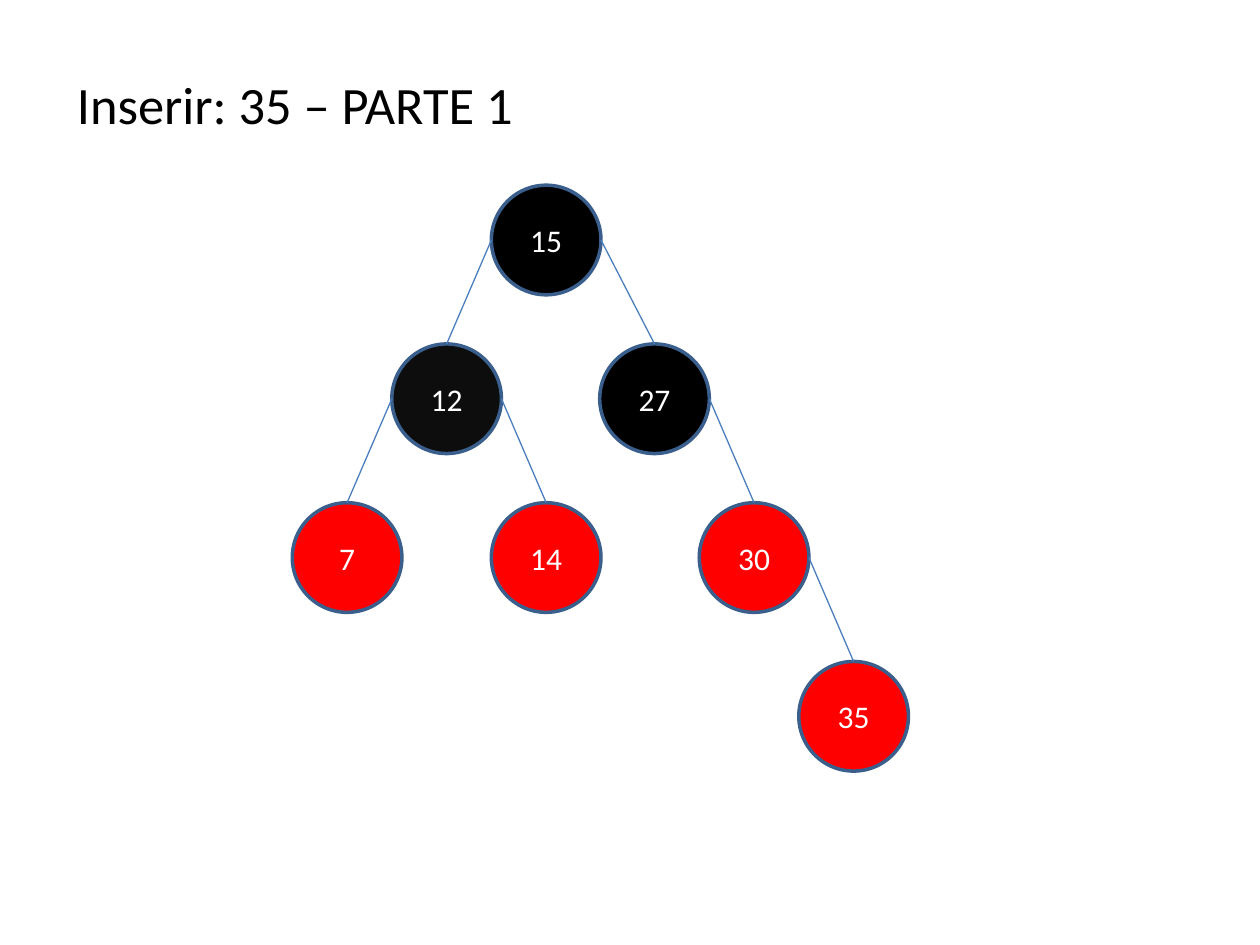
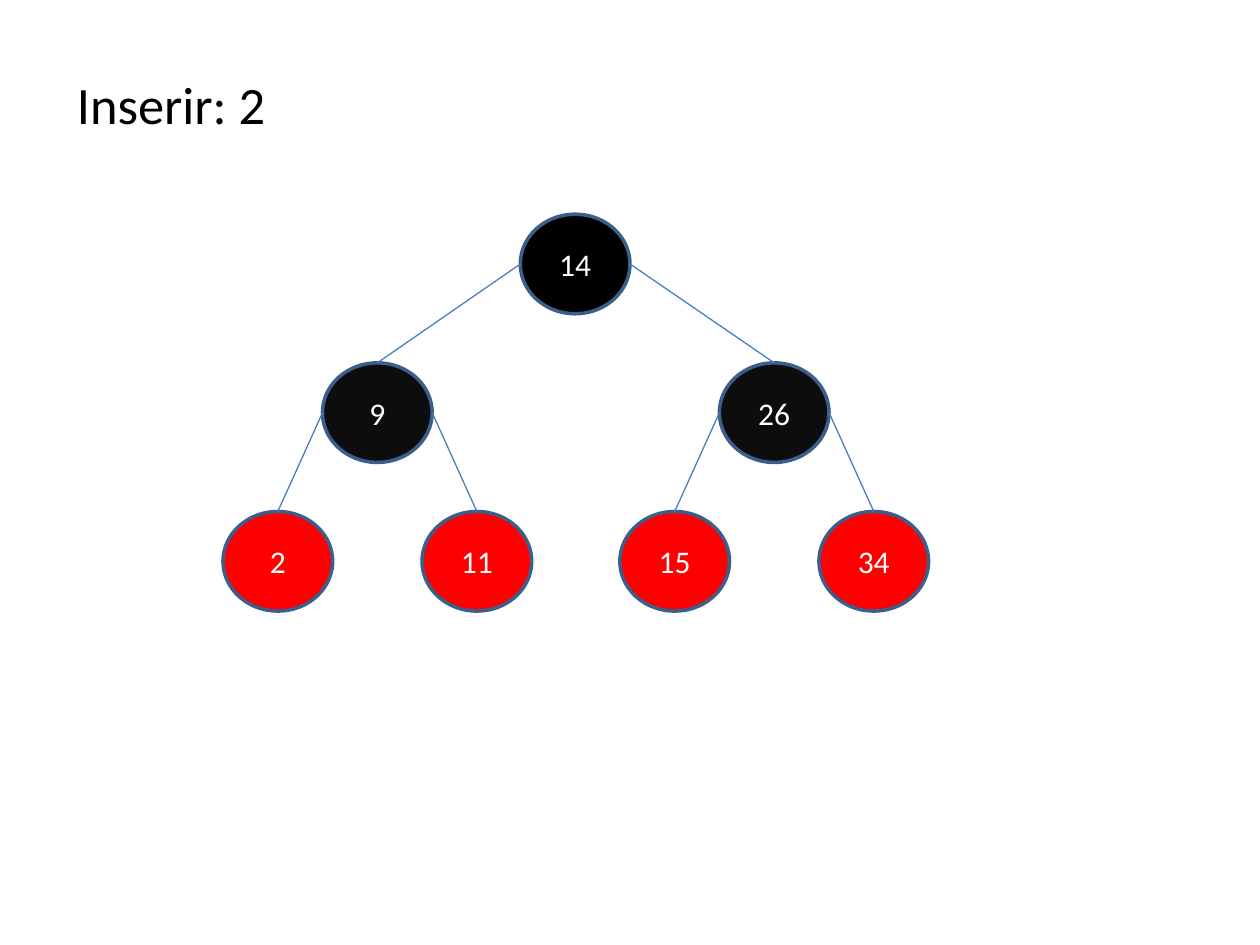
import pptx
import pptx.util
import pptx.dml.color
import pptx.enum.shapes
import pptx.enum.text
import pptx.oxml.ns
import lxml.etree

Inches, Pt = pptx.util.Inches, pptx.util.Pt

FONT = "Calibri"
BLACK, SOFT_BLACK, RED, WHITE = "000000", "0D0D0D", "FF0000", "FFFFFF"
OUTLINE, BRANCH = "3A5F8C", "4B7EBC"
NODE_WIDTH = 0.87

# Each node: (key, left, level, fill, parent key); parents come before children.
TREES = [
    {
        "title": "Inserir: 35 – PARTE 1",
        "title_size": (5.98, 0.79),
        "top": 1.47, "level_gap": 1.26, "node_height": 0.87,
        "nodes": [
            ("15", 3.9, 0, BLACK, None),
            ("27", 4.76, 1, BLACK, "15"),
            ("12", 3.11, 1, SOFT_BLACK, "15"),
            ("7", 2.32, 2, RED, "12"),
            ("14", 3.9, 2, RED, "12"),
            ("30", 5.55, 2, RED, "27"),
            ("35", 6.34, 3, RED, "30"),
        ],
    },
    {
        "title": "Inserir: 2",
        "title_size": (6.69, 0.87),
        "top": 1.7, "level_gap": 1.18, "node_height": 0.79,
        "nodes": [
            ("14", 4.13, 0, BLACK, None),
            ("9", 2.56, 1, SOFT_BLACK, "14"),
            ("26", 5.71, 1, SOFT_BLACK, "14"),
            ("34", 6.5, 2, RED, "26"),
            ("15", 4.92, 2, RED, "26"),
            ("11", 3.35, 2, RED, "9"),
            ("2", 1.77, 2, RED, "9"),
        ],
    },
]


def color(value):
    return pptx.dml.color.RGBColor.from_string(value)


def write(frame, text, size, text_color, alignment, anchor):
    frame.vertical_anchor = anchor
    paragraph = frame.paragraphs[0]
    paragraph.alignment = alignment
    run = paragraph.add_run()
    run.text = text
    run.font.name = FONT
    run.font.size = Pt(size)
    run.font.color.rgb = color(text_color)


def set_title(slide, text, size):
    title = slide.shapes.title
    title.left, title.top = Inches(0.51), Inches(0.52)
    title.width, title.height = (Inches(length) for length in size)
    title.text_frame.auto_size = pptx.enum.text.MSO_AUTO_SIZE.NONE
    write(title.text_frame, text, 30, BLACK,
          pptx.enum.text.PP_ALIGN.JUSTIFY, pptx.enum.text.MSO_ANCHOR.TOP)


def add_node(slide, key, left, top, height, fill):
    node = slide.shapes.add_shape(
        pptx.enum.shapes.MSO_SHAPE.OVAL,
        Inches(left), Inches(top), Inches(NODE_WIDTH), Inches(height))
    node.shadow.inherit = False
    node.fill.solid()
    node.fill.fore_color.rgb = color(fill)
    node.line.color.rgb = color(OUTLINE)
    node.line.width = Pt(2)
    write(node.text_frame, key, 18, WHITE,
          pptx.enum.text.PP_ALIGN.CENTER, pptx.enum.text.MSO_ANCHOR.MIDDLE)
    return node


def add_branch(slide, parent, child):
    """Join the parent's side nearest the child to the child's top."""
    start_x = parent.left if child.left < parent.left else parent.left + parent.width
    branch = slide.shapes.add_connector(
        pptx.enum.shapes.MSO_CONNECTOR.STRAIGHT,
        start_x, parent.top + parent.height // 2,
        child.left + child.width // 2, child.top)
    branch.end_connect(child, 0)
    branch.line.color.rgb = color(BRANCH)
    branch.line.width = Pt(0.75)
    lxml.etree.SubElement(branch._element.spPr, pptx.oxml.ns.qn("a:effectLst"))


def add_tree(slide, tree):
    drawn = {}
    for key, left, level, fill, parent in tree["nodes"]:
        top = tree["top"] + level * tree["level_gap"]
        drawn[key] = add_node(slide, key, left, top, tree["node_height"], fill)
        if parent:
            add_branch(slide, drawn[parent], drawn[key])


def main():
    deck = pptx.Presentation()
    deck.slide_width, deck.slide_height = Inches(10), Inches(7.5)
    title_only = deck.slide_layouts[5]
    for tree in TREES:
        slide = deck.slides.add_slide(title_only)
        set_title(slide, tree["title"], tree["title_size"])
        add_tree(slide, tree)
    deck.save("out.pptx")


if __name__ == "__main__":
    main()
